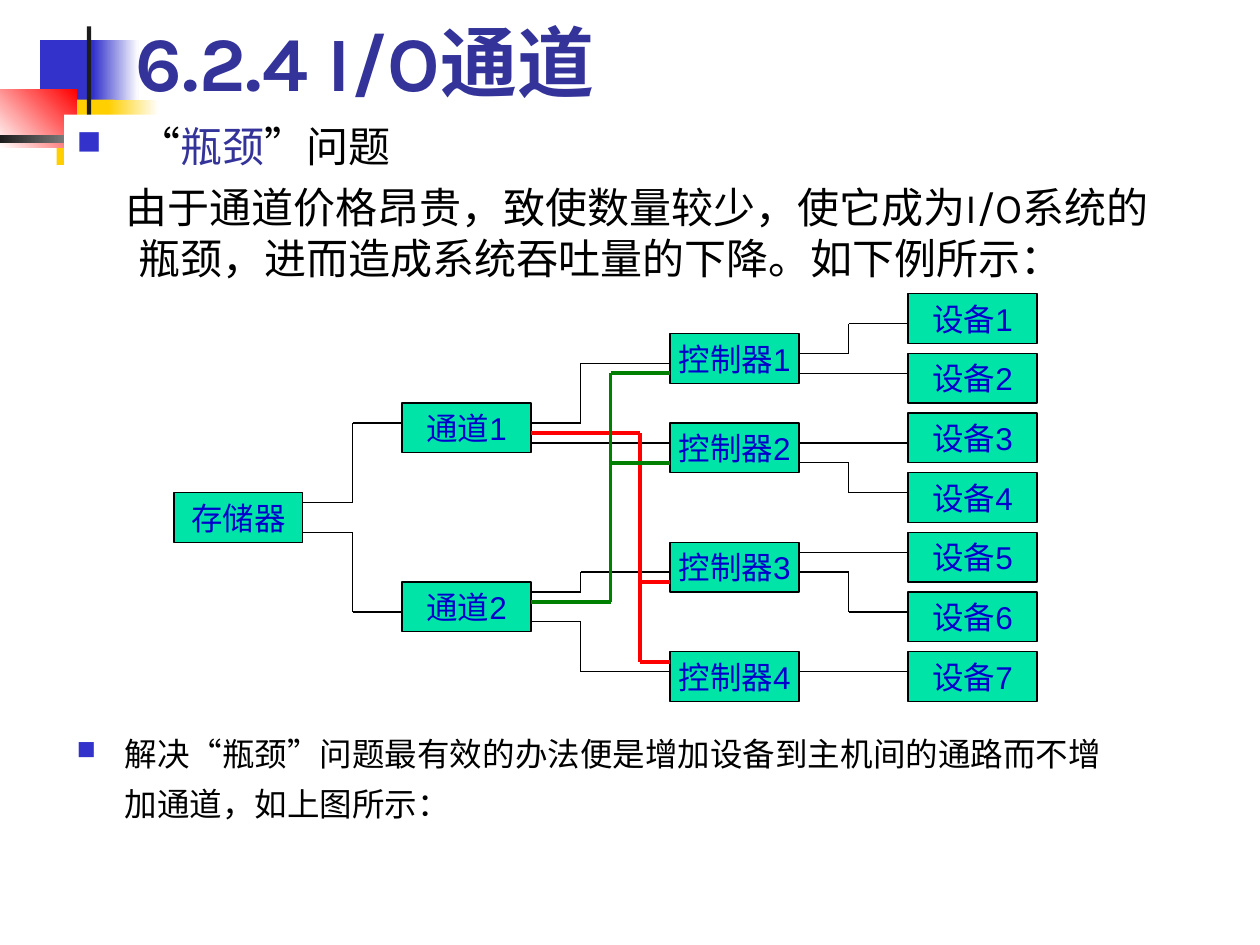
from itertools import pairwise

from lxml.etree import SubElement
from pptx import Presentation
from pptx.dml.color import RGBColor
from pptx.enum.shapes import MSO_CONNECTOR as CONN, MSO_SHAPE as SHAPE
from pptx.enum.text import MSO_ANCHOR as ANCHOR, PP_ALIGN as ALIGN
from pptx.oxml.ns import qn
from pptx.util import Pt

COLORS = {
    "blue": "3333CC", "yellow": "FFCF01", "red": "FF0000", "white": "FFFFFF",
    "ink": "1C1C1C", "title": "333399", "black": "000000", "box": "00E4A8",
    "label": "0000CC", "green": "008000",
}

# left, top, width, height, colour, gradient end colour, clockwise angle
ORNAMENTS = [
    (23, 23, 34.6, 37.4, "blue", None, 0),
    (53.3, 23, 25.9, 37.4, "blue", "white", 0),
    (32.4, 56.9, 33.1, 37.4, "yellow", None, 0),
    (61.9, 56.9, 28.8, 37.4, "yellow", "white", 0),
    (0, 51.1, 43.9, 33.1, "white", "red", 315),
    (49.7, 15.1, 2.4, 82.8, "ink", None, 0),
    (0, 77, 87.8, 4.5, "ink", "white", 0),
]

TITLE = "6.2.4 I/O通道"
QUESTION = [("“", "black"), ("瓶颈", "title"), ("”问题", "black")]
CAUSE = "由于通道价格昂贵，致使数量较少，使它成为I/O系统的瓶颈，进而造成系统吞吐量的下降。如下例所示："
REMEDY = "解决“瓶颈”问题最有效的办法便是增加设备到主机间的通路而不增加通道，如上图所示："

# The diagram lies on a grid: name, column, rows of the boxes
BOX_W, BOX_H = 13, 5
BOXES = [
    ("存储器", 0, [20]),
    ("通道", 23, [11, 29]),
    ("控制器", 50, [4, 13, 25, 36]),
    ("设备", 74, range(0, 37, 6)),
]
# Routes are lists of (column, row) grid points
ROUTES = [
    [(13, 21), (18, 21), (18, 13), (23, 13)],
    [(13, 24), (18, 24), (18, 32), (23, 32)],
    [(36, 13), (41, 13), (41, 7), (50, 7)],
    [(36, 15), (50, 15)],
    [(36, 30), (41, 30), (41, 28), (50, 28)],
    [(36, 33), (41, 33), (41, 38), (50, 38)],
    [(63, 6), (68, 6), (68, 3), (74, 3)],
    [(63, 8), (74, 8)],
    [(63, 15), (74, 15)],
    [(63, 17), (68, 17), (68, 20), (74, 20)],
    [(63, 26), (74, 26)],
    [(63, 28), (68, 28), (68, 32), (74, 32)],
    [(63, 38), (74, 38)],
]
EXTRA_ROUTES = [
    ("red", [(36, 14), (47, 14), (47, 37), (50, 37)]),
    ("red", [(47, 29), (50, 29)]),
    ("green", [(36, 31), (44, 31), (44, 8), (50, 8)]),
    ("green", [(44, 17), (50, 17)]),
]

prs = Presentation()
prs.slide_width, prs.slide_height = Pt(720), Pt(540)
s = prs.slides.add_slide(prs.slide_layouts[6])


def rgb(name):
    return RGBColor.from_string(COLORS[name])


def grid(col, row):
    return 99.4 + 5.67 * col, 167.9 + 5.68 * row


def add_rect(x, y, w, h, color, end=None, angle=0, line=None):
    sp = s.shapes.add_shape(SHAPE.RECTANGLE, Pt(x), Pt(y), Pt(w), Pt(h))
    sp.shadow.inherit = False
    if end:
        sp.fill.gradient()
        sp.fill.gradient_angle = (360 - angle) % 360
        for stop, name in zip(sp.fill.gradient_stops, (color, end)):
            stop.color.rgb = rgb(name)
    else:
        sp.fill.solid()
        sp.fill.fore_color.rgb = rgb(color)
    if line:
        sp.line.color.rgb = rgb(line)
        sp.line.width = Pt(0.75)
    else:
        sp.line.fill.background()
    return sp


def add_box(x, y, w, h):
    return s.shapes.add_textbox(Pt(x), Pt(y), Pt(w), Pt(h))


def write(p, text, *, size, color="black", font="Karla", bold=False,
          align=ALIGN.LEFT, before=0, spacing=None, margin=0, indent=0, bullet=False):
    """Fill a paragraph with a string, or with (string, colour) runs."""
    p.alignment, p.space_before = align, Pt(before)
    if spacing:
        p.line_spacing = spacing
    pPr = p._p.get_or_add_pPr()
    pPr.set("marL", str(Pt(margin)))
    pPr.set("indent", str(Pt(indent)))
    if bullet:
        SubElement(SubElement(pPr, qn("a:buClr")), qn("a:srgbClr"), val=COLORS["blue"])
        SubElement(pPr, qn("a:buSzPct"), val="80000")
        SubElement(pPr, qn("a:buChar"), char="■")
    for part, name in [(text, color)] if isinstance(text, str) else text:
        r = p.add_run()
        r.text = part
        r.font.size, r.font.name, r.font.bold = Pt(size), font, bold
        r.font.color.rgb = rgb(name)


def add_route(points, color="black", width=0.75):
    for start, end in pairwise(points):
        ends = [Pt(v) for v in grid(*start) + grid(*end)]
        c = s.shapes.add_connector(CONN.STRAIGHT, *ends)
        c.line.color.rgb = rgb(color)
        c.line.width = Pt(width)
        SubElement(c._element.spPr, qn("a:effectLst"))


for ornament in ORNAMENTS:
    add_rect(*ornament)

tf = add_box(70.6, 3.6, 613.4, 61.2).text_frame
tf.word_wrap, tf.vertical_anchor = True, ANCHOR.BOTTOM
write(tf.paragraphs[0], TITLE, size=44, color="title", bold=True)

tf = add_rect(36.7, 65.5, 646.6, 113, "white").text_frame
tf.word_wrap, tf.vertical_anchor = True, ANCHOR.TOP
write(tf.paragraphs[0], QUESTION, size=24, before=6, margin=35.3, indent=-35.3, bullet=True)
write(tf.add_paragraph(), CAUSE, size=24, before=6, margin=35.3, indent=-7.5)

for name, col, rows in BOXES:
    for number, row in enumerate(rows, 1):
        sp = add_rect(*grid(col, row), BOX_W * 5.67, BOX_H * 5.68, "box", line="black")
        tf = sp.text_frame
        tf.word_wrap, tf.vertical_anchor = False, ANCHOR.MIDDLE
        label = f"{name}{number}" if len(rows) > 1 else name
        write(tf.paragraphs[0], label, size=18, color="label", font="Arial", align=ALIGN.CENTER)

for route in ROUTES:
    add_route(route)

tf = add_box(36.7, 409, 612, 62.6).text_frame
tf.word_wrap = True
write(tf.paragraphs[0], REMEDY, size=18.6, before=6, spacing=1.3,
      margin=27.4, indent=-27.4, bullet=True)

for color, route in EXTRA_ROUTES:
    add_route(route, color, 2.25)

prs.save("out.pptx")
